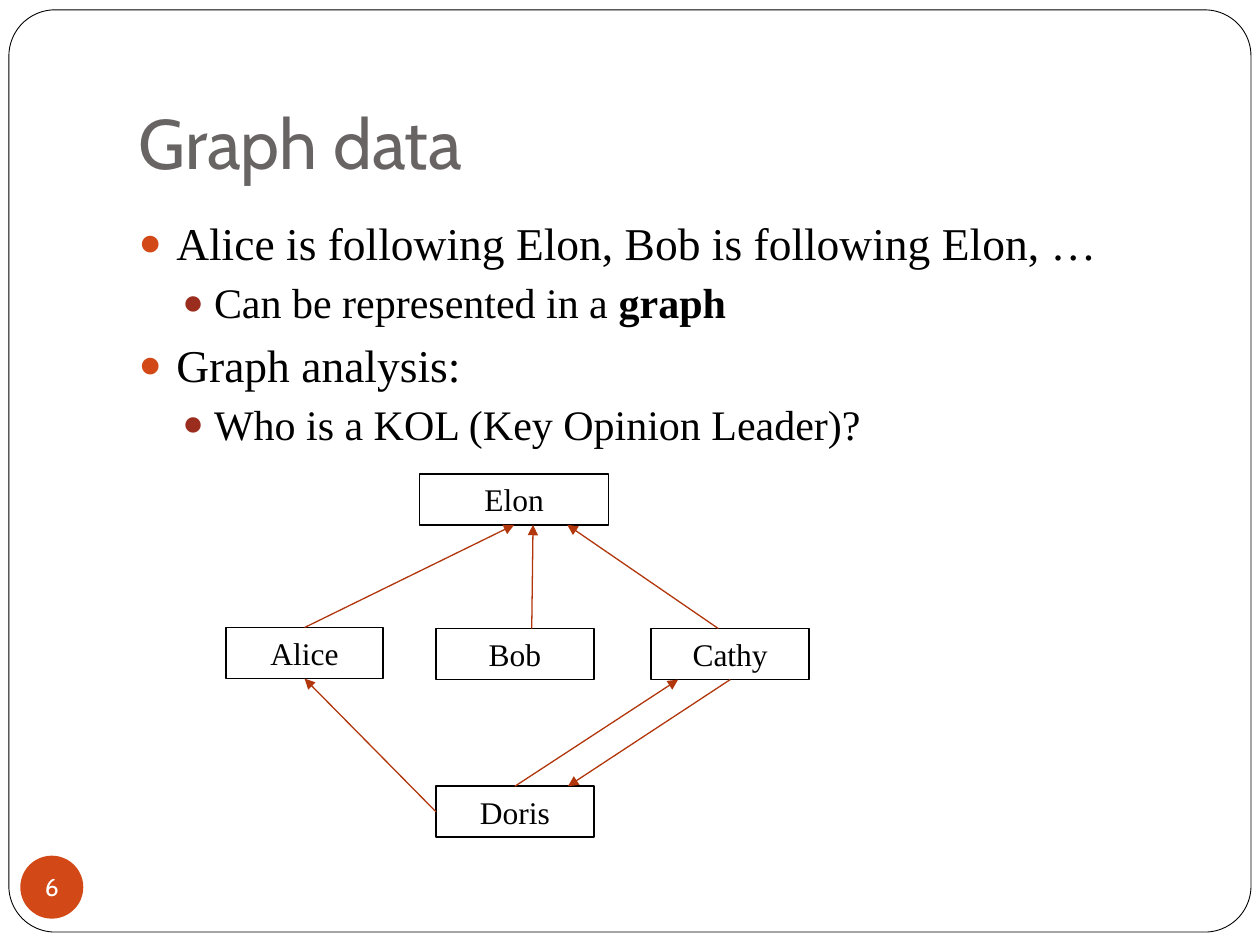
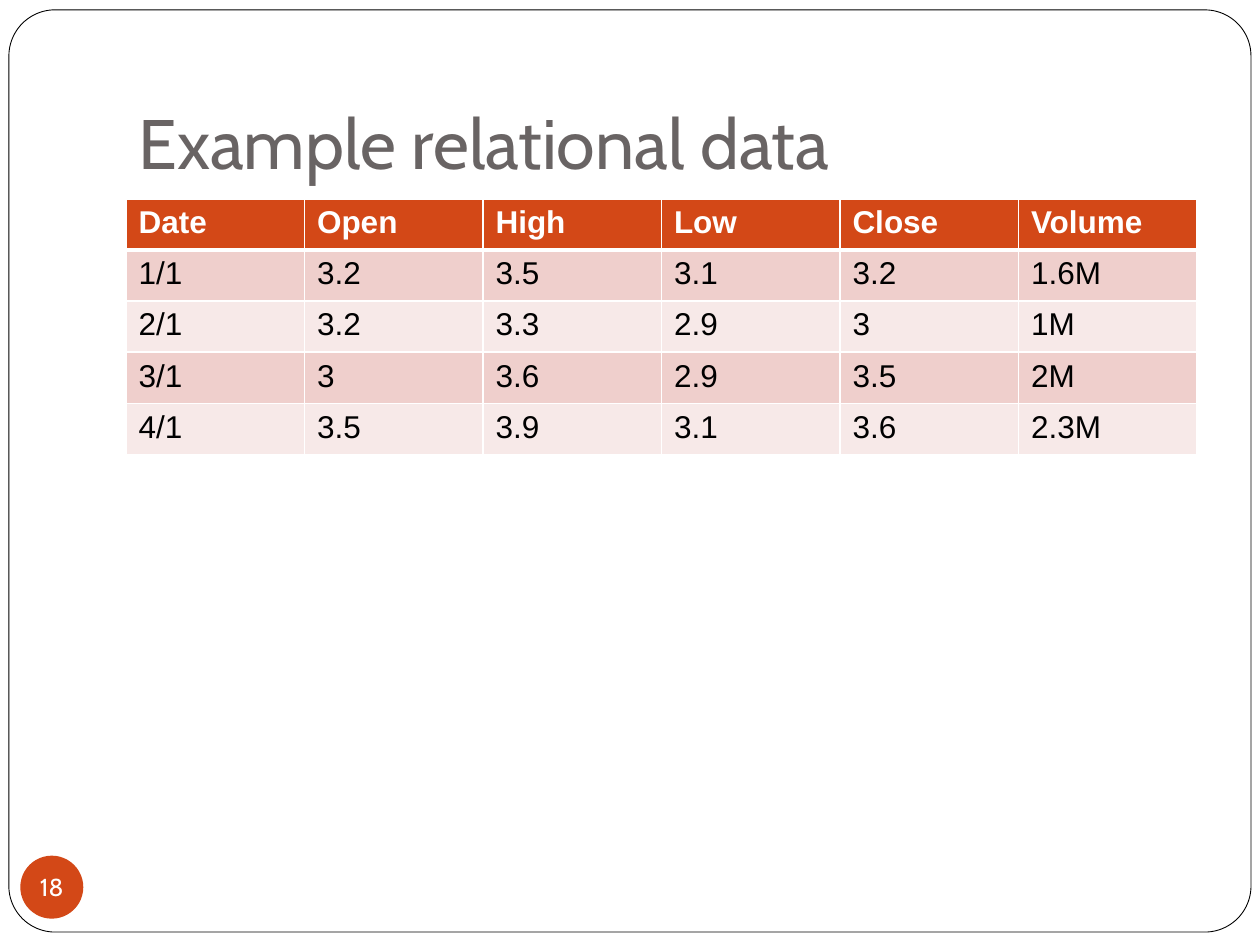
from lxml import etree
from pptx import Presentation
from pptx.dml.color import RGBColor
from pptx.enum.shapes import MSO_CONNECTOR, MSO_SHAPE
from pptx.enum.text import MSO_ANCHOR, MSO_AUTO_SIZE, PP_ALIGN
from pptx.oxml.ns import qn
from pptx.util import Cm, Pt

STRAIGHT = MSO_CONNECTOR.STRAIGHT
RECT, OVAL, ROUNDED = MSO_SHAPE.RECTANGLE, MSO_SHAPE.OVAL, MSO_SHAPE.ROUNDED_RECTANGLE
BOTTOM_ANCHOR, MIDDLE_ANCHOR = MSO_ANCHOR.BOTTOM, MSO_ANCHOR.MIDDLE
ALIGN_LEFT, ALIGN_CENTER = PP_ALIGN.LEFT, PP_ALIGN.CENTER
NO_AUTOFIT = MSO_AUTO_SIZE.NONE
TOP, LEFT, BOTTOM, RIGHT = range(4)  # connection sites of a rectangle

BLACK = RGBColor(0x00, 0x00, 0x00)
WHITE = RGBColor(0xFF, 0xFF, 0xFF)
TITLE_GREY = RGBColor(0x69, 0x64, 0x64)
ORANGE = RGBColor(0xD3, 0x48, 0x17)
DARK_RED = RGBColor(0x9B, 0x2D, 0x1F)
ARROW_RED = RGBColor(0xB1, 0x36, 0x0B)
ROW_FILLS = [RGBColor(0xF7, 0xE9, 0xE8), RGBColor(0xEF, 0xCF, 0xCC)]

TITLE_FONT = {"name": "Cabin", "size": Pt(40), "color": TITLE_GREY}
NUMBER_FONT = {"name": "Cabin", "size": Pt(14), "color": WHITE}
NODE_FONT = {"name": "Times New Roman", "size": Pt(18), "color": BLACK}
HEADER_FONT = {"name": "Arial", "size": Pt(18), "bold": True, "color": WHITE}
CELL_FONT = {**HEADER_FONT, "bold": False, "color": BLACK}
# Per list level: text size, left margin, hanging indent, space before, bullet colour
LEVELS = [
    (Pt(26), Cm(0.76), Cm(-0.76), Pt(5.8), ORANGE),
    (Pt(24), Cm(1.52), Cm(-0.64), Pt(3.8), DARK_RED),
]

CONTENT_X, CONTENT_Y, CONTENT_W = Cm(2.54), Cm(4.01), Cm(21.59)

BULLETS = [
    (0, [("Alice is following Elon, Bob is following Elon, …", False)]),
    (1, [("Can be represented in a ", False), ("graph", True)]),
    (0, [("Graph analysis:", False)]),
    (1, [("Who is a KOL (Key Opinion Leader)?", False)]),
]

NODE_H = 1.03
NODES = {  # name: left, top, width in cm
    "Elon": (8.46, 9.55, 3.81),
    "Alice": (4.55, 12.65, 3.18),
    "Bob": (8.79, 12.67, 3.18),
    "Cathy": (13.13, 12.67, 3.18),
    "Doris": (8.79, 15.85, 3.18),
}
# Each end: node, side, shift in cm along the side from its middle
FOLLOWS = [
    (("Doris", LEFT, 0), ("Alice", BOTTOM, 0)),
    (("Alice", TOP, 0), ("Elon", BOTTOM, 0)),
    (("Bob", TOP, 0.34), ("Elon", BOTTOM, 0.38)),
    (("Cathy", TOP, -0.24), ("Elon", BOTTOM, 1.07)),
    (("Cathy", BOTTOM, 0), ("Doris", TOP, 1.07)),
    (("Doris", TOP, 0), ("Cathy", BOTTOM, -1.05)),
]

PRICES = [
    ["Date", "Open", "High", "Low", "Close", "Volume"],
    ["1/1", "3.2", "3.5", "3.1", "3.2", "1.6M"],
    ["2/1", "3.2", "3.3", "2.9", "3", "1M"],
    ["3/1", "3", "3.6", "2.9", "3.5", "2M"],
    ["4/1", "3.5", "3.9", "3.1", "3.6", "2.3M"],
]


def set_attrs(obj, **values):
    for name, value in values.items():
        setattr(obj, name, value)


def set_font(font, values):
    for name, value in values.items():
        if name == "color":
            font.color.rgb = value
        else:
            setattr(font, name, value)


def add_xml(parent, tag, **attrs):
    return etree.SubElement(parent, qn(tag), attrs)


def add_shape(s, kind, x, y, w, h, fill, line=None, width=1):
    sp = s.shapes.add_shape(kind, Cm(x), Cm(y), Cm(w), Cm(h))
    sp.shadow.inherit = False
    sp.fill.solid()
    sp.fill.fore_color.rgb = fill
    if line is None:
        sp.line.fill.background()
    else:
        sp.line.color.rgb = line
        sp.line.width = Pt(width)
    return sp


def write_centred(sp, text, font):
    p = sp.text_frame.paragraphs[0]
    p.alignment = ALIGN_CENTER
    r = p.add_run()
    r.text = text
    set_font(r.font, font)


def start_slide(prs, layout, title, number):
    """Add a slide with its frame, title and page number."""
    s = prs.slides.add_slide(prs.slide_layouts[layout])
    sp = s.shapes.title
    set_attrs(sp, left=CONTENT_X, top=Cm(0.76), width=CONTENT_W, height=Cm(3.18))
    set_attrs(sp.text_frame, vertical_anchor=BOTTOM_ANCHOR, auto_size=NO_AUTOFIT,
              margin_bottom=Cm(0.25))
    p = sp.text_frame.paragraphs[0]
    p.alignment = ALIGN_LEFT
    r = p.add_run()
    r.text = title
    set_font(r.font, TITLE_FONT)

    frame = add_shape(s, ROUNDED, 0.18, 0.2, 25.04, 18.59, WHITE, BLACK, 0.5)
    frame.adjustments[0] = 0.05
    sp._element.addprevious(frame._element)

    badge = add_shape(s, OVAL, 0.41, 17.25, 1.27, 1.27, ORANGE)
    set_attrs(badge.text_frame, margin_left=0, margin_right=0, margin_top=0,
              margin_bottom=0, word_wrap=False, vertical_anchor=MIDDLE_ANCHOR)
    write_centred(badge, str(number), NUMBER_FONT)
    return s


def add_bullet(p, level):
    size, margin, indent, _, color = LEVELS[level]
    pPr = p._p.get_or_add_pPr()
    pPr.set("marL", str(margin))
    pPr.set("indent", str(indent))
    add_xml(add_xml(pPr, "a:buClr"), "a:srgbClr", val=str(color))
    add_xml(pPr, "a:buSzPct", val="85000")
    add_xml(pPr, "a:buChar", char="●")
    set_font(p.font, {**NODE_FONT, "size": size})


def fill_body(s, bullets):
    body = s.placeholders[1]
    set_attrs(body, left=CONTENT_X, top=CONTENT_Y, width=CONTENT_W, height=Cm(12.7))
    tf = body.text_frame
    set_attrs(tf, auto_size=NO_AUTOFIT, margin_top=Cm(0.33))
    for i, (level, runs) in enumerate(bullets):
        p = tf.add_paragraph() if i else tf.paragraphs[0]
        p.level = level
        p.space_before = LEVELS[level][3] if i else Pt(0)
        add_bullet(p, level)
        for text, bold in runs:
            r = p.add_run()
            r.text = text
            set_font(r.font, {**NODE_FONT, "size": LEVELS[level][0], "bold": bold})


def add_node(s, name, x, y, w):
    sp = add_shape(s, RECT, x, y, w, NODE_H, WHITE, BLACK)
    sp.text_frame.vertical_anchor = MIDDLE_ANCHOR
    write_centred(sp, name, NODE_FONT)
    return sp


def side_point(sp, side, shift):
    if side in (TOP, BOTTOM):
        return sp.left + sp.width // 2 + Cm(shift), sp.top + (side == BOTTOM) * sp.height
    return sp.left + (side == RIGHT) * sp.width, sp.top + sp.height // 2 + Cm(shift)


def add_arrow(s, nodes, start, end):
    points = [side_point(nodes[name], side, shift) for name, side, shift in (start, end)]
    cxn = s.shapes.add_connector(STRAIGHT, *points[0], *points[1])
    for (name, side, shift), join in ((start, cxn.begin_connect), (end, cxn.end_connect)):
        if not shift:
            join(nodes[name], side)
    cxn.line.color.rgb = ARROW_RED
    cxn.line.width = Pt(0.75)
    add_xml(cxn.line._get_or_add_ln(), "a:tailEnd", type="triangle")
    add_xml(cxn._element.spPr, "a:effectLst")


def set_borders(cell, **widths):
    """Draw white borders; the keys are L, R, T and B, in that order."""
    tcPr = cell._tc.get_or_add_tcPr()
    for side, width in widths.items():
        ln = add_xml(tcPr, f"a:ln{side}", w=str(Pt(width)))
        add_xml(add_xml(ln, "a:solidFill"), "a:srgbClr", val=str(WHITE))


def add_price_table(s, rows):
    n_rows, n_cols = len(rows), len(rows[0])
    table = s.shapes.add_table(n_rows, n_cols, CONTENT_X, CONTENT_Y,
                               CONTENT_W, Cm(1.03) * n_rows).table
    for i, row in enumerate(rows):
        for j, text in enumerate(row):
            cell = table.cell(i, j)
            set_borders(cell, L=1, R=1, T=3 if i == 1 else 1, B=1 if i else 3)
            cell.fill.solid()
            cell.fill.fore_color.rgb = ROW_FILLS[i % 2] if i else ORANGE
            r = cell.text_frame.paragraphs[0].add_run()
            r.text = text
            set_font(r.font, CELL_FONT if i else HEADER_FONT)


def main():
    prs = Presentation()
    prs.slide_width, prs.slide_height = Cm(25.4), Cm(19.05)

    s = start_slide(prs, 1, "Graph data", 6)
    fill_body(s, BULLETS)
    nodes = {name: add_node(s, name, *box) for name, box in NODES.items()}
    for start, end in FOLLOWS:
        add_arrow(s, nodes, start, end)

    s = start_slide(prs, 5, "Example relational data", 18)
    add_price_table(s, PRICES)

    prs.save("out.pptx")


if __name__ == "__main__":
    main()
